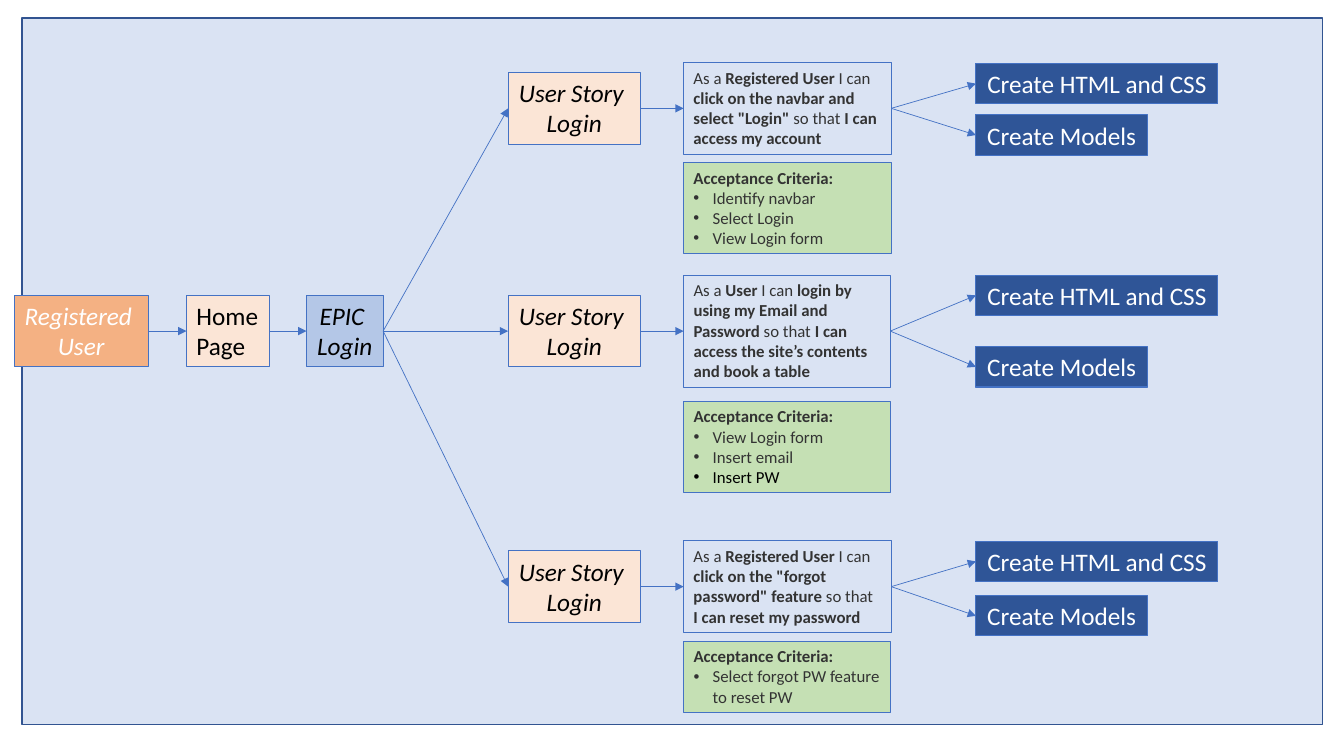
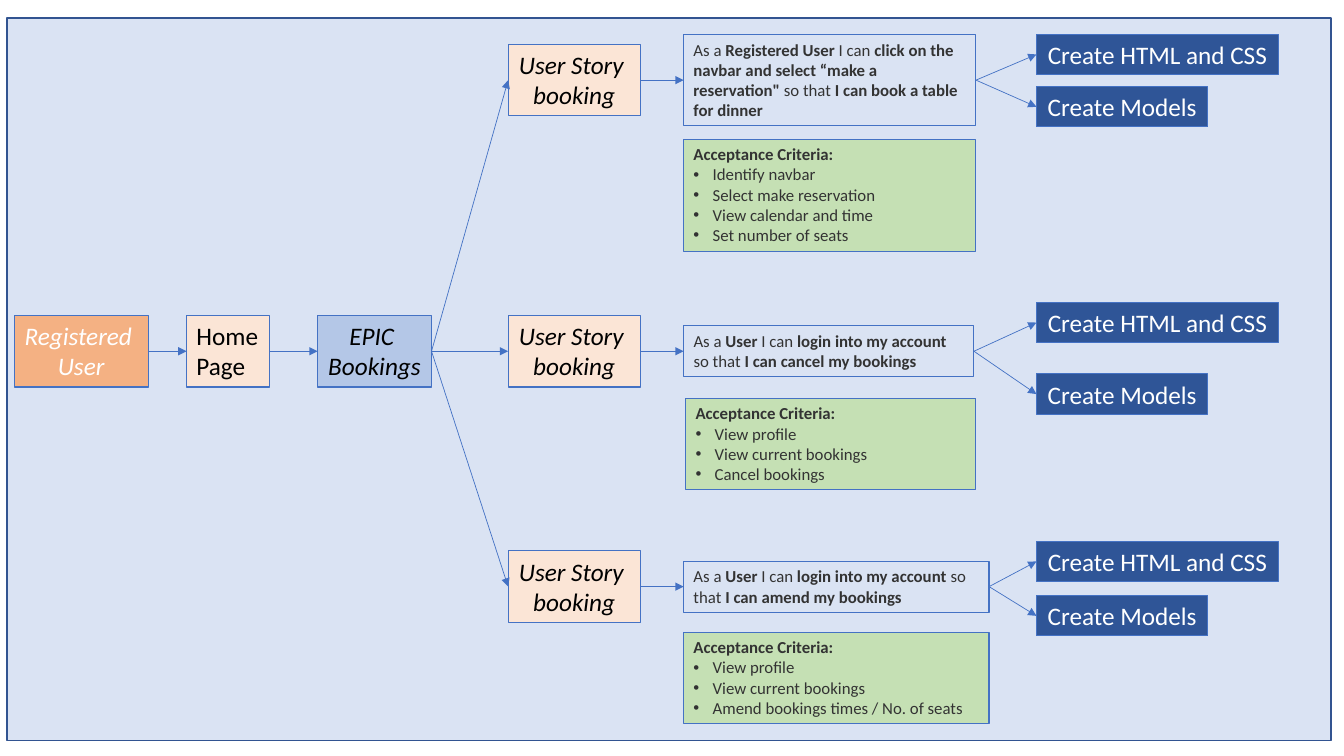
from lxml import etree
from pptx import Presentation
from pptx.dml.color import RGBColor
from pptx.enum.shapes import MSO_CONNECTOR, MSO_SHAPE
from pptx.enum.text import MSO_ANCHOR, MSO_AUTO_SIZE, PP_ALIGN
from pptx.oxml.ns import qn
from pptx.util import Inches, Pt

RECT, STRAIGHT = MSO_SHAPE.RECTANGLE, MSO_CONNECTOR.STRAIGHT
LEFT, CENTER = PP_ALIGN.LEFT, PP_ALIGN.CENTER
TOP, FIT = MSO_ANCHOR.TOP, MSO_AUTO_SIZE.SHAPE_TO_FIT_TEXT
LEFT_SITE, RIGHT_SITE = 1, 3

FONT = "Calibri"
COLORS = dict(panel="DAE3F3", frame="325491", line="4472C4", user="F4B183",
              peach="FBE5D6", epic="B4C7E7", task="2F5597", criteria="C5E0B4",
              white="FFFFFF", black="000000", grey="333333")

TASKS = [("Create HTML and CSS", 2.4), ("Create Models", 1.7)]

SLIDES = [
    dict(panel=(0.22, 0.18, 12.9, 7.01), middle=3.285, epic=("Login", 3.04, 0.76),
         topic="Login", task_x=9.68, rows=[
        dict(center=1.075, lines=4, width=2.06, task_tops=(0.63, 1.14),
             story=["As a ", "Registered User", " I can ",
                    'click on the navbar and select "Login"', " so that ",
                    "I can access my account"],
             box=(6.78, 1.61, 2.06), lines_below=4,
             criteria=["Identify navbar", "Select Login", "View Login form"]),
        dict(center=3.285, lines=5, width=2.05, task_tops=(2.73, 3.44),
             story=["As a ", "User", " I can ", "login by using my Email and Password",
                    " so that ", "I can access the site’s contents and book a table"],
             box=(6.78, 3.98, 2.05), lines_below=4, last_color="black",
             criteria=["View Login form", "Insert email", "Insert PW"]),
        dict(center=5.82, lines=4, width=2.06, task_tops=(5.37, 5.91),
             story=["As a ", "Registered User", " I can ",
                    'click on the "forgot password" feature', " so that ",
                    "I can reset my password"],
             box=(6.78, 6.36, 2.05), lines_below=3,
             criteria=["Select forgot PW feature to reset PW"]),
    ]),
    dict(panel=(0.07, 0.18, 13.13, 7.17), middle=3.485, epic=("Bookings", 3.15, 1.13),
         topic="booking", task_x=10.28, rows=[
        dict(center=0.795, lines=4, width=2.9, task_tops=(0.34, 0.86),
             story=["As a ", "Registered User", " I can ",
                    'click on the navbar and select “make a reservation"', " so that ",
                    "I can book a table for dinner"],
             box=(6.78, 1.38, 2.9), lines_below=5,
             criteria=["Identify navbar", "Select make reservation",
                       "View calendar and time", "Set number of seats"]),
        dict(center=3.485, lines=2, width=2.88, task_tops=(3.0, 3.71),
             story=["As a ", "User", " I can ", "login into my account ", "so that ",
                    "I can cancel my bookings"],
             box=(6.8, 3.95, 2.88), lines_below=4,
             criteria=["View profile", "View current bookings", "Cancel bookings"]),
        dict(center=5.82, lines=2, width=3.03, task_tops=(5.37, 5.91),
             story=["As a ", "User", " I can ", "login into my account ", "so that ",
                    "I can amend my bookings"],
             box=(6.78, 6.27, 3.03), lines_below=4,
             criteria=["View profile", "View current bookings",
                       "Amend bookings times / No. of seats"]),
    ]),
]

BIG_H, TASK_H = 0.71, 0.4
STORY_X, STORY_W, DETAIL_X = 5.04, 1.31, 6.78


def rgb(name):
    return RGBColor.from_string(COLORS[name])


def text_height(lines):
    return 0.1 + 0.2025 * lines


def add_rect(s, x, y, w, h, fill=None, line="line", weight=0.75):
    sp = s.shapes.add_shape(RECT, Inches(x), Inches(y), Inches(w), Inches(h))
    sp.shadow.inherit = False
    if fill:
        sp.fill.solid()
        sp.fill.fore_color.rgb = rgb(fill)
    else:
        sp.fill.background()
    sp.line.color.rgb = rgb(line)
    sp.line.width = Pt(weight)
    return sp


def add_run(p, text, size, color, bold=False, italic=False):
    r = p.add_run()
    r.text = text
    f = r.font
    f.name, f.size, f.bold, f.italic = FONT, Pt(size), bold, italic
    f.color.rgb = rgb(color)


def add_paragraphs(sp, count, align, wrap):
    tf = sp.text_frame
    tf.word_wrap, tf.auto_size, tf.vertical_anchor = wrap, FIT, TOP
    ps = [tf.paragraphs[0]] + [tf.add_paragraph() for _ in range(count - 1)]
    for p in ps:
        p.alignment = align
    return ps


def add_label(s, texts, x, y, w, h, fill, color="black", italic=False, align=CENTER):
    sp = add_rect(s, x, y, w, h, fill)
    for p, text in zip(add_paragraphs(sp, len(texts), align, False), texts):
        add_run(p, text, 18, color, italic=italic)
    return sp


def add_bullet(p):
    pPr = p._p.get_or_add_pPr()
    pPr.set("marL", str(Inches(0.19)))
    pPr.set("indent", str(-Inches(0.19)))
    etree.SubElement(pPr, qn("a:buFont")).set("typeface", "Arial")
    etree.SubElement(pPr, qn("a:buChar")).set("char", "•")


def add_arrow(s, start, end):
    c = s.shapes.add_connector(STRAIGHT, 0, 0, 0, 0)
    c.begin_connect(start, RIGHT_SITE)
    c.end_connect(end, LEFT_SITE)
    c.line.color.rgb = rgb("line")
    c.line.width = Pt(0.5)
    etree.SubElement(c.line._get_or_add_ln(), qn("a:tailEnd")).set("type", "triangle")
    etree.SubElement(c._element.spPr, qn("a:effectLst"))


def add_story(s, row):
    h = text_height(row["lines"])
    sp = add_rect(s, DETAIL_X, row["center"] - h / 2, row["width"], h)
    p = add_paragraphs(sp, 1, LEFT, True)[0]
    for i, text in enumerate(row["story"]):
        add_run(p, text, 12, "grey", bold=i % 2 == 1)
    return sp


def add_criteria(s, row):
    sp = add_rect(s, *row["box"], text_height(row["lines_below"]), "criteria")
    items = row["criteria"]
    head, *bullets = add_paragraphs(sp, len(items) + 1, LEFT, True)
    add_run(head, "Acceptance Criteria:", 12, "grey", bold=True)
    colors = ["grey"] * (len(items) - 1) + [row.get("last_color", "grey")]
    for p, text, color in zip(bullets, items, colors):
        add_bullet(p)
        add_run(p, text, 12, color)


def add_row(s, epic, topic, task_x, row):
    title = add_label(s, ["User Story ", topic], STORY_X, row["center"] - BIG_H / 2,
                      STORY_W, BIG_H, "peach", italic=True)
    story = add_story(s, row)
    add_criteria(s, row)
    add_arrow(s, epic, title)
    add_arrow(s, title, story)
    for (text, w), y in zip(TASKS, row["task_tops"]):
        task = add_label(s, [text], task_x, y, w, TASK_H, "task", "white")
        add_arrow(s, story, task)


def add_map(prs, data):
    s = prs.slides.add_slide(prs.slide_layouts[6])
    add_rect(s, *data["panel"], "panel", "frame", 1)
    y = data["middle"] - BIG_H / 2
    name, epic_x, epic_w = data["epic"]
    user = add_label(s, ["Registered ", "User"], 0.14, y, 1.33, BIG_H, "user", "white", True)
    home = add_label(s, ["Home", "Page"], 1.85, y, 0.82, BIG_H, "peach", align=LEFT)
    epic = add_label(s, ["EPIC ", name], epic_x, y, epic_w, BIG_H, "epic", italic=True)
    add_arrow(s, user, home)
    add_arrow(s, home, epic)
    for row in data["rows"]:
        add_row(s, epic, data["topic"], data["task_x"], row)


prs = Presentation()
prs.slide_width, prs.slide_height = Inches(13.33), Inches(7.5)
for data in SLIDES:
    add_map(prs, data)
prs.save("out.pptx")
